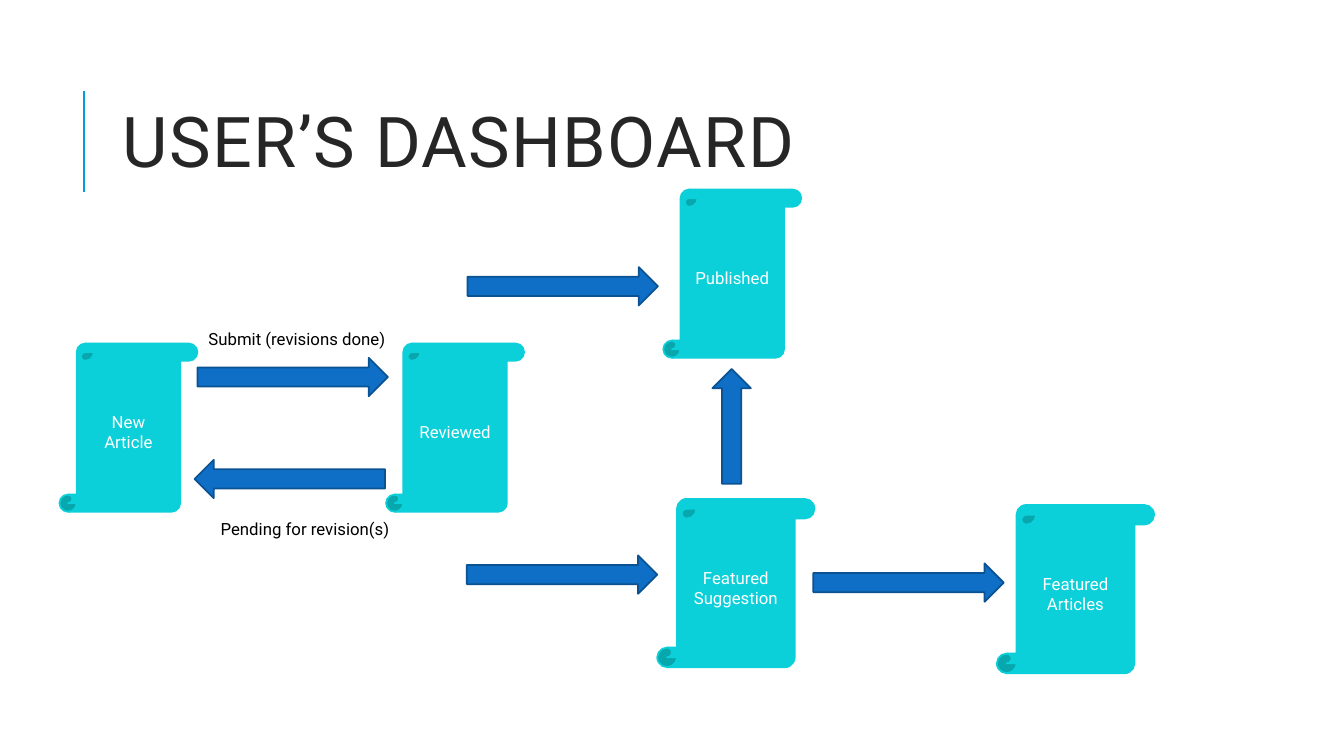
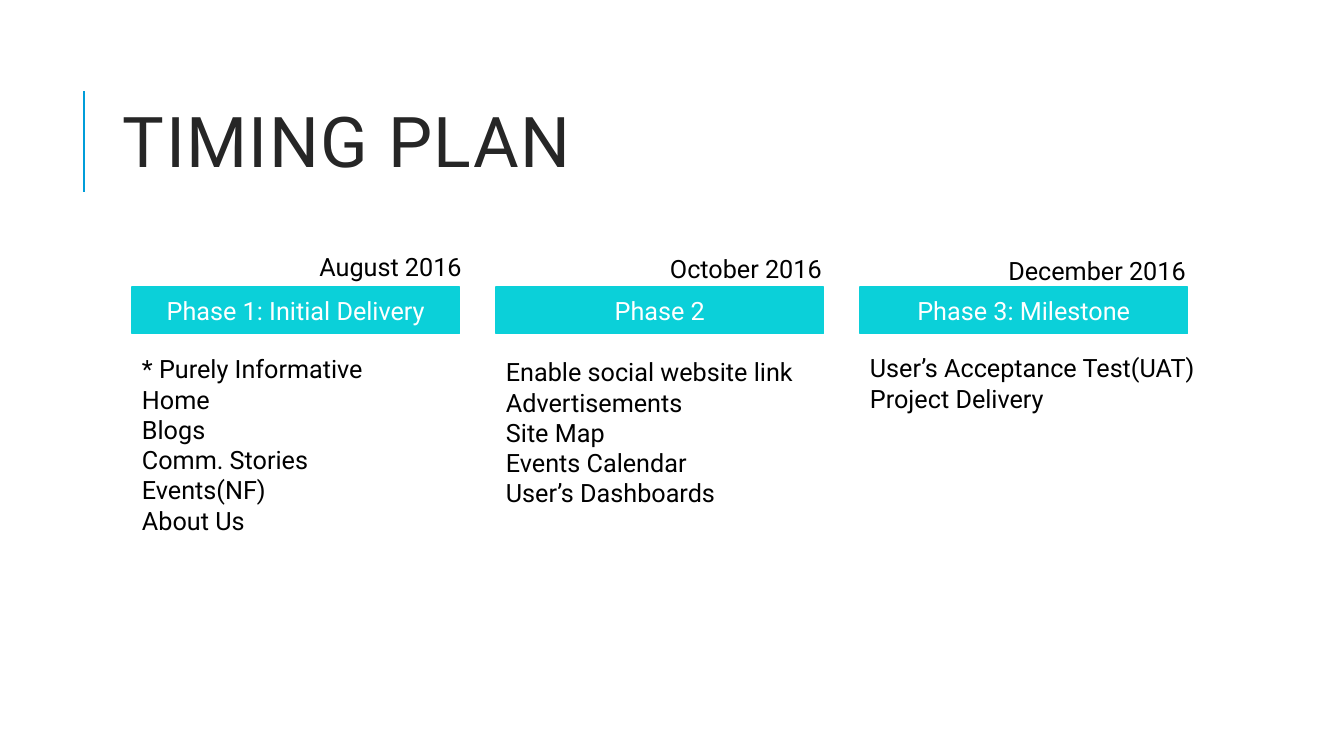
import dataclasses

import pptx
import pptx.dml.color
import pptx.enum.shapes
import pptx.enum.text
import pptx.util
import lxml.etree

Pt = pptx.util.Pt
MSO = pptx.enum.shapes.MSO_SHAPE
ALIGN = pptx.enum.text.PP_ALIGN
ANCHOR = pptx.enum.text.MSO_ANCHOR
rgb = pptx.dml.color.RGBColor.from_string


@dataclasses.dataclass(frozen=True)
class Theme:
    font: str = "Roboto"
    title: str = "262626"
    rule: str = "009DD9"
    panel: str = "0BD0D9"
    arrow: str = "0F6FC6"
    arrow_edge: str = "0B5292"
    light: str = "FFFFFF"
    text: str = "000000"
    title_size: float = 50
    body_size: float = 18
    small_size: float = 12
    edge: float = 1.25


T = Theme()
PAGE = (960, 540)
TITLE_BOX = (80.6, 46, 765.4, 118)
ARROW_LONG, ARROW_THICK = 136, 27.4
SCROLL_H = 120.2


def points(box):
    return [Pt(v) for v in box]


def write(tf, text, size, color, align=ALIGN.LEFT, anchor=ANCHOR.TOP, wrap=True, spacing=1.0):
    tf.text = text
    frame = {"word_wrap": wrap, "vertical_anchor": anchor,
             "auto_size": pptx.enum.text.MSO_AUTO_SIZE.NONE}
    for name, value in frame.items():
        setattr(tf, name, value)
    for p in tf.paragraphs:
        p.alignment, p.line_spacing = align, spacing
        for r in p.runs:
            for name, value in {"name": T.font, "size": Pt(size)}.items():
                setattr(r.font, name, value)
            r.font.color.rgb = rgb(color)


def add_shape(s, kind, box, fill, edge):
    sp = s.shapes.add_shape(kind, *points(box))
    sp.shadow.inherit = False
    sp.fill.solid()
    sp.fill.fore_color.rgb = rgb(fill)
    sp.line.color.rgb = rgb(edge)
    sp.line.width = Pt(T.edge)
    return sp


def add_panel(s, kind, box, text, size):
    sp = add_shape(s, kind, box, T.panel, T.panel)
    write(sp.text_frame, text, size, T.light, ALIGN.CENTER, ANCHOR.MIDDLE)


def add_label(s, box, text, size, align=ALIGN.LEFT):
    tf = s.shapes.add_textbox(*points(box)).text_frame
    write(tf, text, size, T.text, align, wrap=False)


def add_titled_slide(prs, title):
    s = prs.slides.add_slide(prs.slide_layouts[5])
    sp = s.shapes.title
    for name, value in zip(("left", "top", "width", "height"), points(TITLE_BOX)):
        setattr(sp, name, value)
    write(sp.text_frame, title, T.title_size, T.title, anchor=ANCHOR.MIDDLE, spacing=0.8)
    for r in sp.text_frame.paragraphs[0].runs:
        r.font._element.set("spc", "100")
    rule = s.shapes.add_connector(pptx.enum.shapes.MSO_CONNECTOR.STRAIGHT,
                                  *points((60, 136.8, 60, 64.8)))
    rule.line.color.rgb = rgb(T.rule)
    rule.line.width = Pt(1.5)
    lxml.etree.SubElement(rule._element.spPr, pptx.oxml.ns.qn("a:effectLst"))
    return s


def draw_workflow(s, box):
    left, top = box[:2]
    scrolls = [
        (0, 110, 98.6, "New\vArticle"),
        (233.3, 110, 98.6, "Reviewed"),
        (431.3, 0, 98.6, "Published"),
        (427, 221, 112.3, "Featured Suggestion"),
        (669.6, 225.3, 112.3, "Featured\nArticles"),
    ]
    arrows = [
        (MSO.LEFT_ARROW, 96.5, 193, ARROW_LONG, ARROW_THICK),
        (MSO.RIGHT_ARROW, 98.6, 120.2, ARROW_LONG, ARROW_THICK),
        (MSO.RIGHT_ARROW, 291.5, 55.4, ARROW_LONG, ARROW_THICK),
        (MSO.RIGHT_ARROW, 291, 261.3, ARROW_LONG, ARROW_THICK),
        (MSO.RIGHT_ARROW, 538.5, 267, ARROW_LONG, ARROW_THICK),
        (MSO.UP_ARROW, 466.4, 128.2, ARROW_THICK, 82),
    ]
    labels = [
        (99.3, 95.7, "Submit (revisions done)"),
        (108, 231.8, "Pending for revision(s)"),
    ]
    for x, y, w, text in scrolls:
        add_panel(s, MSO.VERTICAL_SCROLL, (left + x, top + y, w, SCROLL_H), text, T.small_size)
    for kind, x, y, w, h in arrows:
        add_shape(s, kind, (left + x, top + y, w, h), T.arrow, T.arrow_edge)
    for x, y, text in labels:
        add_label(s, (left + x, top + y, 142, 21.6), text, T.small_size)


def draw_phase(s, box, heading, date, date_shift, items, list_shift):
    left, top, width, height = box
    dx, dy = date_shift
    add_panel(s, MSO.RECTANGLE, (left, top, width, height), heading, T.body_size)
    add_label(s, (left + dx, top - 29.5 + dy, width, 28.8), date, T.body_size, ALIGN.RIGHT)
    add_label(s, (left, top + 43.2 + list_shift, width + 20, 21.8 * len(items) + 7.2),
              "\n".join(items), T.body_size)


def draw_timing(s, box):
    left, top, width, height = box
    phases = [
        ("Phase 1: Initial Delivery", "August 2016", (8.6, 0),
         ["* Purely Informative", "Home", "Blogs", "Comm. Stories", "Events(NF)", "About Us"], 0.7),
        ("Phase 2", "October 2016", (5.8, 1.4),
         ["Enable social website link", "Advertisements", "Site Map", "Events Calendar",
          "User’s Dashboards"], 2.9),
        ("Phase 3: Milestone", "December 2016", (5.8, 2.9),
         ["User’s Acceptance Test(UAT)", "Project Delivery"], 0),
    ]
    gap = 26
    column = (width - gap * (len(phases) - 1)) / len(phases)
    for i, phase in enumerate(phases):
        draw_phase(s, (left + i * (column + gap), top, column, height), *phase)


def main():
    prs = pptx.Presentation()
    prs.slide_width, prs.slide_height = points(PAGE)
    draw_workflow(add_titled_slide(prs, "USER’S DASHBOARD"), (42.5, 135.4, 782, 345.5))
    draw_timing(add_titled_slide(prs, "TIMING PLAN"), (94.3, 205.2, 754, 33.1))
    prs.save("out.pptx")


if __name__ == "__main__":
    main()
